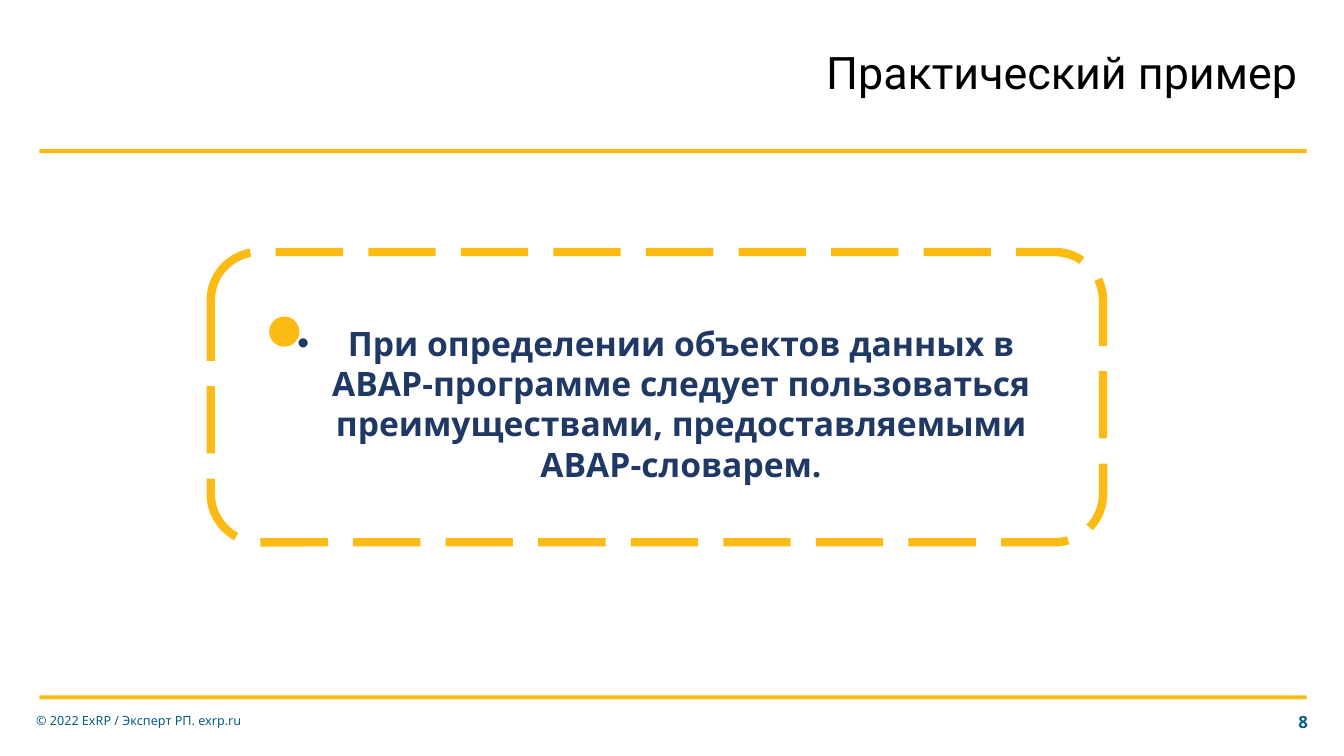
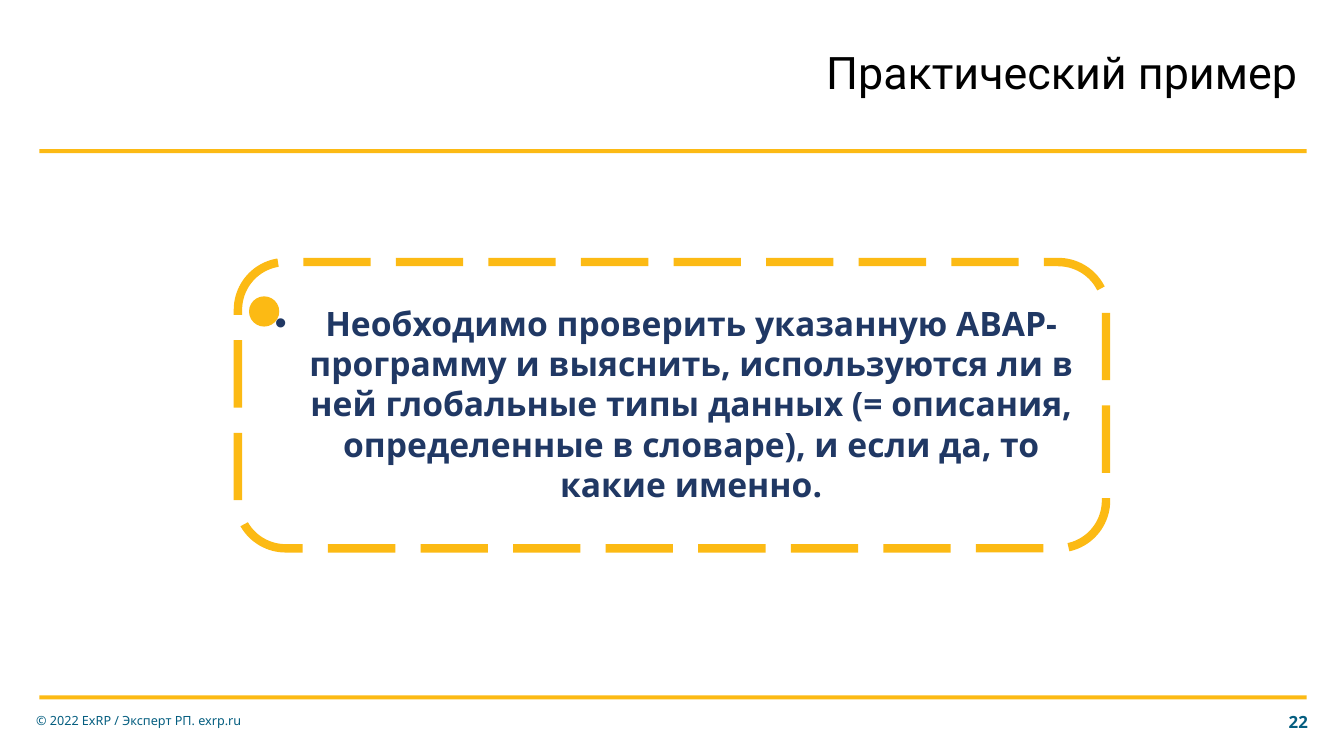
from lxml import etree
from pptx import Presentation
from pptx.dml.color import RGBColor
from pptx.enum import dml, shapes, text
from pptx.oxml.ns import qn
from pptx.util import Inches, Pt

YELLOW = RGBColor(0xFC, 0xBA, 0x14)
NAVY = RGBColor(0x20, 0x38, 0x64)
TEAL = RGBColor(0x05, 0x5E, 0x80)
BLACK = RGBColor(0, 0, 0)

BODY_FONT = "Noto Sans"
TITLE_FONT = "Roboto"
TITLE = "Практический пример"
COPYRIGHT = "© 2022 ExRP / Эксперт РП. exrp.ru"
BAND_TOPS = (6.9, 1.48)
DOT_SIZE = 0.3

# Places are left, top, width, height in inches.
PAGES = [
    {
        "number": "8",
        "message": "При определении объектов данных в ABAP-программе следует "
                   "пользоваться преимуществами, предоставляемыми ABAP-словарем.",
        "message_place": (2.4, 3.14, 8.11, 1.72),
        "frame_place": (2.09, 2.5, 8.85, 2.88),
        "dot_left": 2.67,
    },
    {
        "number": "22",
        "message": "Необходимо проверить указанную ABAP-программу и выяснить, "
                   "используются ли в ней глобальные типы данных (= описания, "
                   "определенные в словаре), и если да, то какие именно.",
        "message_place": (2.25, 2.94, 8.61, 2.12),
        "frame_place": (2.36, 2.6, 8.61, 2.84),
        "dot_left": 2.47,
    },
]


def write_text(page, words, place, size, color, font=BODY_FONT, bold=False,
               align=text.PP_ALIGN.LEFT, insets=(0.1, 0.05, 0.1, 0.05),
               line_spacing=None, bullet_indent=None, box=None):
    """Fill the given box, or a new text box, with one formatted paragraph."""
    place = [Inches(length) for length in place]
    if box is None:
        box = page.shapes.add_textbox(*place)
    box.left, box.top, box.width, box.height = place
    frame = box.text_frame
    frame.word_wrap = True
    frame.auto_size = text.MSO_AUTO_SIZE.NONE
    frame.vertical_anchor = text.MSO_ANCHOR.MIDDLE
    (frame.margin_left, frame.margin_top,
     frame.margin_right, frame.margin_bottom) = map(Inches, insets)

    para = frame.paragraphs[0]
    para.alignment = align
    if line_spacing:
        para.line_spacing = line_spacing
    if bullet_indent:
        properties = para._p.get_or_add_pPr()
        properties.set("marL", str(Inches(bullet_indent)))
        properties.set("indent", str(-Inches(bullet_indent)))
        etree.SubElement(properties, qn("a:buFont")).set("typeface", "Arial")
        etree.SubElement(properties, qn("a:buChar")).set("char", "•")
    span = para.add_run()
    span.text = words
    span.font.name = font
    span.font.size = Pt(size)
    span.font.bold = bold
    span.font.color.rgb = color


def draw_shape(page, kind, place, filled=True):
    """Draw a yellow shape, either solid or as a dashed outline."""
    shape = page.shapes.add_shape(kind, *map(Inches, place))
    shape.shadow.inherit = False
    if filled:
        shape.fill.solid()
        shape.fill.fore_color.rgb = YELLOW
        shape.line.fill.background()
    else:
        shape.fill.background()
        shape.line.color.rgb = YELLOW
        shape.line.width = Pt(6)
        shape.line.dash_style = dml.MSO_LINE.LONG_DASH


deck = Presentation()
deck.slide_width = Inches(13.33)
deck.slide_height = Inches(7.5)
title_only = deck.slide_layouts[5]

for content in PAGES:
    page = deck.slides.add_slide(title_only)

    for top in BAND_TOPS:
        draw_shape(page, shapes.MSO_SHAPE.RECTANGLE, (0.39, top, 12.57, 0.04))
    write_text(page, content["number"], (12.42, 6.96, 0.65, 0.4), 12, TEAL,
               bold=True, align=text.PP_ALIGN.RIGHT)
    write_text(page, COPYRIGHT, (0.26, 6.95, 2.85, 0.4), 9, TEAL)
    write_text(page, TITLE, (7.39, 0.49, 5.58, 0.55), 32, BLACK,
               font=TITLE_FONT, align=text.PP_ALIGN.RIGHT,
               insets=(0, 0, 0.1, 0.05), line_spacing=0.9,
               box=page.shapes.title)

    message_place = content["message_place"]
    write_text(page, content["message"], message_place, 24, NAVY, bold=True,
               align=text.PP_ALIGN.CENTER, insets=(0.1, 0.05, 0, 0.05),
               line_spacing=Pt(28.8), bullet_indent=0.5)
    draw_shape(page, shapes.MSO_SHAPE.ROUNDED_RECTANGLE,
               content["frame_place"], filled=False)
    draw_shape(page, shapes.MSO_SHAPE.OVAL,
               (content["dot_left"], message_place[1], DOT_SIZE, DOT_SIZE))

deck.save("out.pptx")
